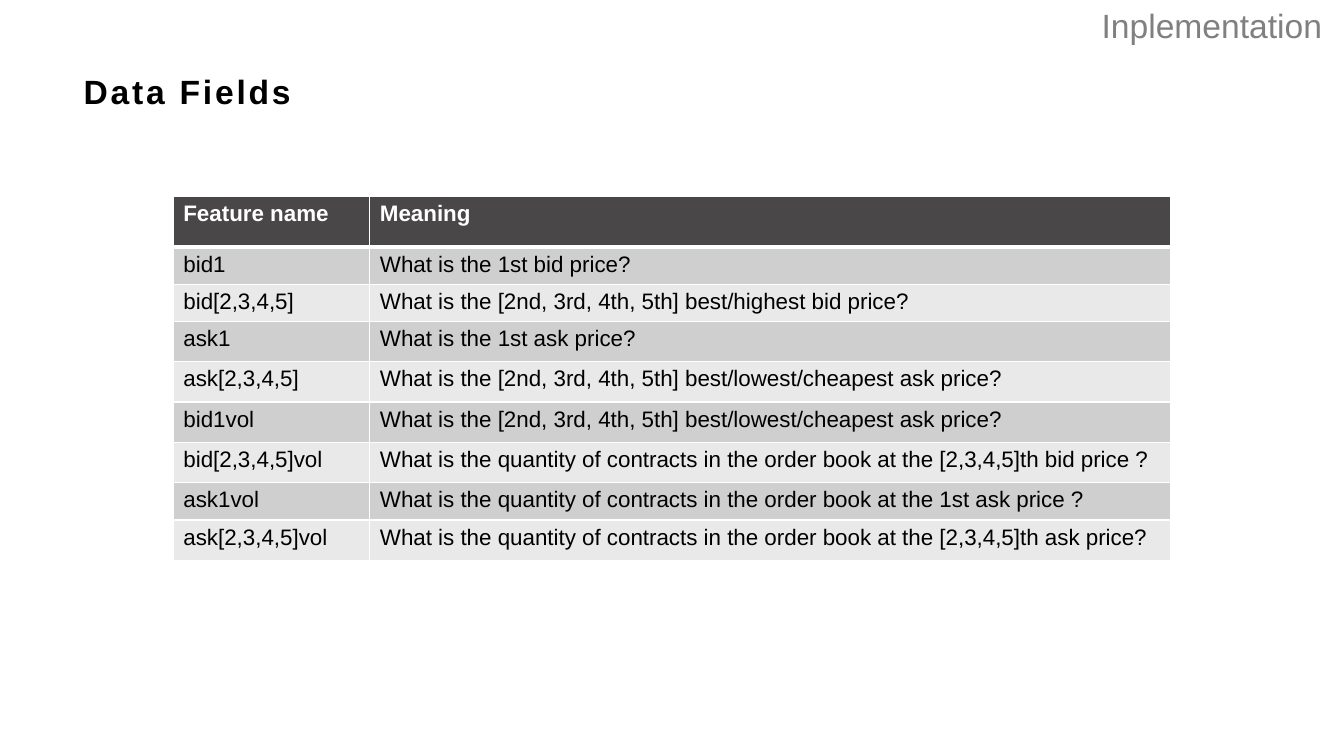
from dataclasses import dataclass

from lxml import etree
from pptx import Presentation
from pptx.dml.color import RGBColor
from pptx.enum.text import MSO_ANCHOR
from pptx.oxml.ns import qn
from pptx.util import Pt

MIDDLE = MSO_ANCHOR.MIDDLE
TOP = MSO_ANCHOR.TOP
FONT = "Arial"
COLORS = {
    "text": "000000",
    "section": "808080",
    "header": "4A4749",
    "odd_row": "D0CFD0",
    "even_row": "E9E9E9",
    "white": "FFFFFF",
}


@dataclass
class Label:
    text: str
    left: float
    top: float
    width: float
    height: float
    color: str
    bold: bool = False
    anchor: MSO_ANCHOR = TOP
    spacing: float = 0


@dataclass
class Field:
    name: str
    meaning: str
    height: float


LABELS = [
    Label("Data Fields", 52.6, 47.5, 854.6, 34.6, "text", True, MIDDLE, 2),
    Label("Inplementation", 779.8, 0, 206, 36, "section"),
]
BEST_ASK = "What is the [2nd, 3rd, 4th, 5th] best/lowest/cheapest ask price?"
QUANTITY = "What is the quantity of contracts in the order book at the "
FIELDS = [
    Field("Feature name", "Meaning", 36),
    Field("bid1", "What is the 1st bid price?", 26.6),
    Field("bid[2,3,4,5]", "What is the [2nd, 3rd, 4th, 5th] best/highest bid price?", 26.6),
    Field("ask1", "What is the 1st ask price?", 28.8),
    Field("ask[2,3,4,5]", BEST_ASK, 28.8),
    Field("bid1vol", BEST_ASK, 28.8),
    Field("bid[2,3,4,5]vol", QUANTITY + "[2,3,4,5]th bid price ?", 28.8),
    Field("ask1vol", QUANTITY + "1st ask price ?", 26.6),
    Field("ask[2,3,4,5]vol", QUANTITY + "[2,3,4,5]th ask price?", 28.8),
]
COLUMN_WIDTHS = [140.4, 571.7]
TABLE_LEFT, TABLE_TOP = 123.8, 140.4


def rgb(color: str) -> RGBColor:
    return RGBColor.from_string(COLORS[color])


def style(paragraph, size: float, color: str, bold: bool) -> None:
    font = paragraph.font
    font.name = FONT
    font.size = Pt(size)
    font.bold = bold
    font.color.rgb = rgb(color)


def draw_label(slide, label: Label) -> None:
    box = slide.shapes.add_textbox(
        Pt(label.left), Pt(label.top), Pt(label.width), Pt(label.height)
    )
    frame = box.text_frame
    frame.word_wrap = True
    frame.vertical_anchor = label.anchor
    paragraph = frame.paragraphs[0]
    run = paragraph.add_run()
    run.text = label.text
    style(paragraph, 24, label.color, label.bold)
    if label.spacing:
        run.font._element.set("spc", str(int(label.spacing * 100)))


def draw_borders(cell, widths: dict[str, float]) -> None:
    properties = cell._tc.get_or_add_tcPr()
    for position, (side, width) in enumerate(widths.items()):
        line = etree.Element(qn(f"a:{side}"), w=str(Pt(width)))
        fill = etree.SubElement(line, qn("a:solidFill"))
        etree.SubElement(fill, qn("a:srgbClr"), val=COLORS["white"])
        properties.insert(position, line)


def draw_cell(cell, text: str, row: int) -> None:
    is_header = row == 0
    cell.text = text
    style(cell.text_frame.paragraphs[0], 16, "white" if is_header else "text", is_header)
    cell.fill.solid()
    cell.fill.fore_color.rgb = rgb(
        "header" if is_header else "odd_row" if row % 2 else "even_row"
    )
    draw_borders(
        cell,
        {"lnL": 1, "lnR": 1, "lnT": 3 if row == 1 else 1, "lnB": 3 if is_header else 1},
    )


def draw_fields(slide, fields: list[Field]) -> None:
    table = slide.shapes.add_table(
        len(fields), len(COLUMN_WIDTHS), Pt(TABLE_LEFT), Pt(TABLE_TOP),
        Pt(sum(COLUMN_WIDTHS)), Pt(sum(field.height for field in fields)),
    ).table
    for column, width in zip(table.columns, COLUMN_WIDTHS):
        column.width = Pt(width)
    for row, field in enumerate(fields):
        table.rows[row].height = Pt(field.height)
        for column, text in enumerate((field.name, field.meaning)):
            draw_cell(table.cell(row, column), text, row)


presentation = Presentation()
presentation.slide_width = Pt(960)
presentation.slide_height = Pt(540)
slide = presentation.slides.add_slide(presentation.slide_layouts[6])
for label in LABELS:
    draw_label(slide, label)
draw_fields(slide, FIELDS)
presentation.save("out.pptx")
